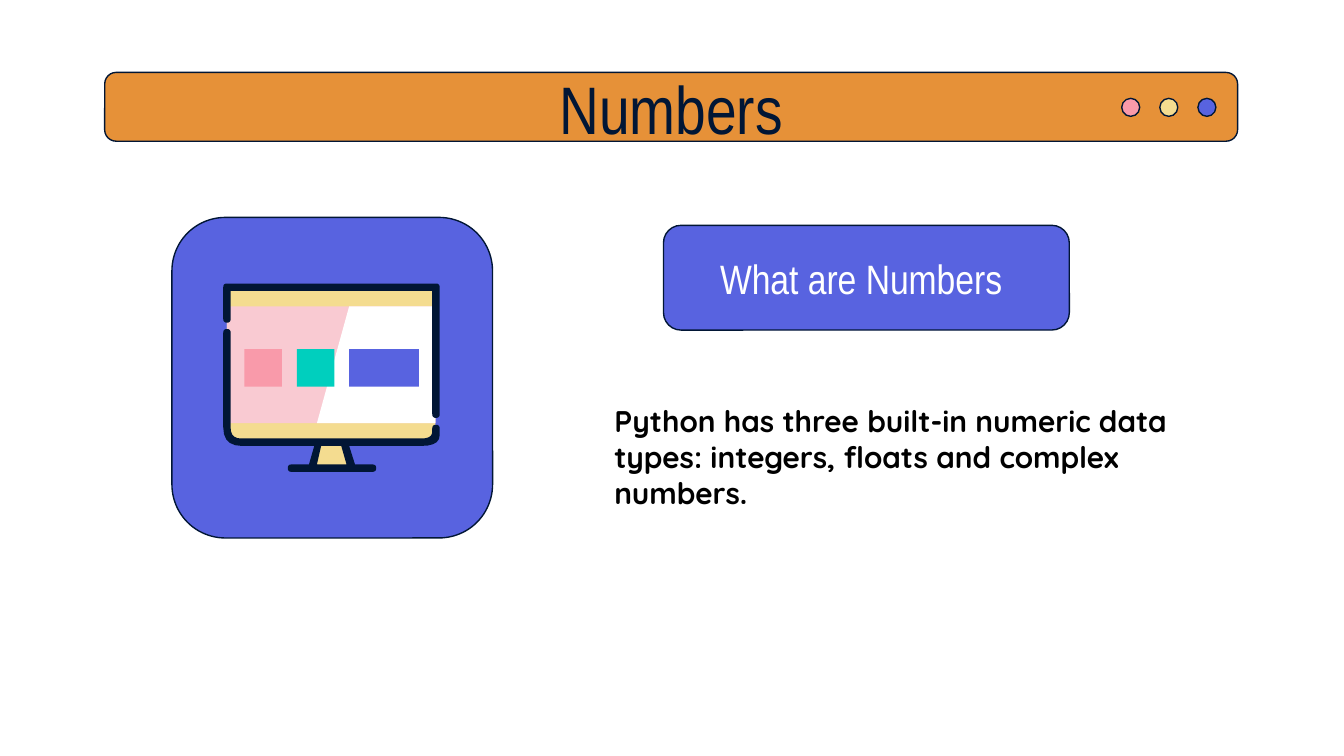
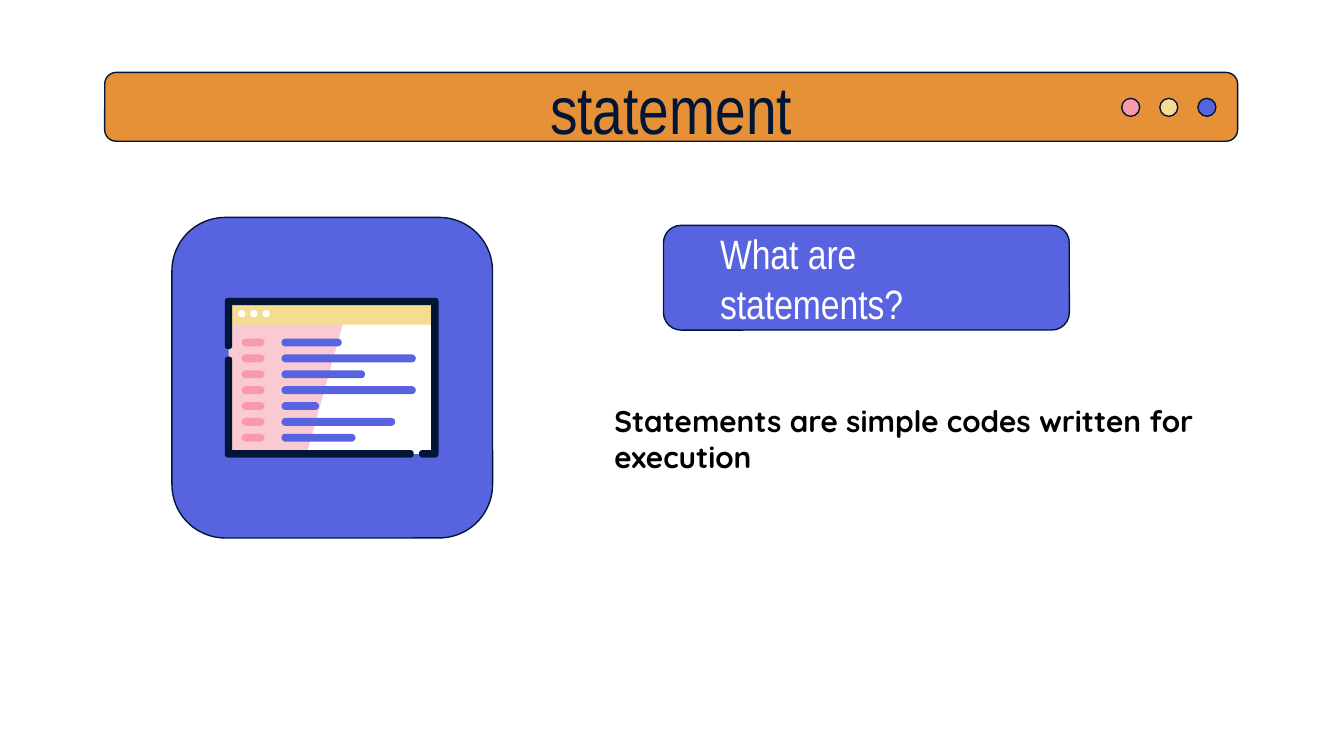
from math import hypot

from pptx import Presentation
from pptx.dml.color import RGBColor
from pptx.enum.shapes import MSO_SHAPE as SHAPE
from pptx.enum.text import MSO_ANCHOR as ANCHOR, MSO_AUTO_SIZE as AUTO_SIZE, PP_ALIGN as ALIGN
from pptx.util import Cm, Pt

NAVY = RGBColor(0x01, 0x16, 0x35)
ORANGE = RGBColor(0xE6, 0x91, 0x38)
BLUE = RGBColor(0x58, 0x63, 0xE0)
YELLOW = RGBColor(0xF4, 0xDC, 0x90)
PINK = RGBColor(0xF9, 0x9A, 0xAA)
PALE_PINK = RGBColor(0xF9, 0xCA, 0xD2)
TEAL = RGBColor(0x00, 0xCF, 0xBE)
WHITE = RGBColor(0xFF, 0xFF, 0xFF)
BLACK = RGBColor(0x00, 0x00, 0x00)

HEAD_FONT, BODY_FONT = "Arial Narrow", "Quicksand"
TIP = 0.07  # radius of the rounded ends of icon frames, cm
TITLE_ONLY = 5


def rounded(vertices):
    """Turn (x, y[, radius]) corners into outline points."""
    points = []
    for i, (x, y, *radius) in enumerate(vertices):
        if not radius:
            points.append((x, y))
            continue
        ends = []
        for nx, ny, *_ in (vertices[i - 1], vertices[(i + 1) % len(vertices)]):
            length = hypot(nx - x, ny - y)
            k = min(radius[0] / length, 0.5)
            ends.append((x + k * (nx - x), y + k * (ny - y)))
        (ax, ay), (bx, by) = ends
        for t in (0, 0.2, 0.4, 0.6, 0.8, 1):
            a, c, b = (1 - t) ** 2, 2 * t * (1 - t), t * t
            points.append((a * ax + c * x + b * bx, a * ay + c * y + b * by))
    return [(Cm(x), Cm(y)) for x, y in points]


class Deck:
    def __init__(self):
        self.prs = Presentation()
        self.prs.slide_width, self.prs.slide_height = Cm(25.4), Cm(14.29)
        self.s = self.shapes = None

    def slide(self):
        self.s = self.prs.slides.add_slide(self.prs.slide_layouts[TITLE_ONLY])
        self.shapes = self.s.shapes

    def group(self):
        """Send the shapes that follow into a new group."""
        grp = self.s.shapes.add_group_shape()
        self.shapes = grp.shapes
        return grp

    def ungroup(self):
        self.shapes = self.s.shapes

    def paint(self, sp, fill, outlined):
        sp.shadow.inherit = False
        sp.fill.solid()
        sp.fill.fore_color.rgb = fill
        if outlined:
            sp.line.color.rgb = NAVY
            sp.line.width = Pt(0.75)
        else:
            sp.line.fill.background()

    def shape(self, kind, x, y, w, h, fill, outlined=False):
        sp = self.shapes.add_shape(kind, Cm(x), Cm(y), Cm(w), Cm(h))
        self.paint(sp, fill, outlined)
        return sp

    def pill(self, x, y, w, h, fill):
        self.shape(SHAPE.ROUNDED_RECTANGLE, x, y, w, h, fill).adjustments[0] = 0.5

    def outline(self, fill, *contours):
        """Fill one free form; contours after the first are holes."""
        first, *holes = [rounded(c) for c in contours]
        fb = self.shapes.build_freeform(*first[0])
        fb.add_line_segments(first[1:])
        for hole in holes:
            fb.move_to(*hole[0])
            fb.add_line_segments(hole[1:])
        self.paint(fb.convert_to_shape(), fill, False)

    def set_text(self, sp, text, font, size, color, bold=False, anchor=ANCHOR.MIDDLE,
                 align=ALIGN.LEFT, left=0, top=0):
        tf = sp.text_frame
        tf.word_wrap = True
        tf.auto_size = AUTO_SIZE.NONE
        tf.vertical_anchor = anchor
        tf.margin_left, tf.margin_top = Cm(left), Cm(top)
        tf.margin_right = tf.margin_bottom = 0
        p = tf.paragraphs[0]
        p.alignment = align
        r = p.add_run()
        r.text = text
        r.font.name, r.font.size, r.font.bold = font, Pt(size), bold
        r.font.color.rgb = color

    def text_box(self, x, y, w, h, text, *style, **options):
        sp = self.shapes.add_textbox(Cm(x), Cm(y), Cm(w), Cm(h))
        self.set_text(sp, text, *style, **options)

    def title_bar(self, text):
        self.shape(SHAPE.ROUNDED_RECTANGLE, 1.98, 1.37, 21.41, 1.3, ORANGE, True)
        dots = self.group()
        for i, color in enumerate((PINK, YELLOW, BLUE)):
            self.shape(SHAPE.OVAL, 21.2 + 0.72 * i, 1.86, 0.34, 0.34, color, True)
        self.ungroup()
        title = self.s.shapes.title
        title.left, title.top, title.width, title.height = Cm(3.78), Cm(1.24), Cm(17.81), Cm(1.6)
        self.set_text(title, text, HEAD_FONT, 36, NAVY, align=ALIGN.CENTER)
        dots.element.addnext(title.element)  # bring the title in front of the bar

    def topic(self, title, question, answer, draw_icon):
        self.slide()
        self.title_bar(title)
        self.shape(SHAPE.ROUNDED_RECTANGLE, 12.54, 4.26, 7.67, 1.98, BLUE, True)
        self.text_box(13.41, 4.67, 6.05, 1.17, question, HEAD_FONT, 22, WHITE, left=0.2)
        self.text_box(9.07, 5.69, 14.58, 5.18, answer, BODY_FONT, 16, BLACK, bold=True,
                      anchor=ANCHOR.TOP, left=2.54, top=1.93)
        self.shape(SHAPE.ROUNDED_RECTANGLE, 3.25, 4.11, 6.06, 6.06, BLUE, True)
        self.group()
        draw_icon(self)
        self.ungroup()


def monitor_icon(deck):
    stand = [(6.02, 8.36), (5.9, 8.86), (6.63, 8.86), (6.53, 8.36)]
    case = [(4.29, 5.44, 0.25), (8.23, 5.44, 0.25), (8.23, 8.36, 0.25), (4.29, 8.36, 0.25)]
    glare = [(6.6, 5.79), (5.99, 8), (8.23, 8), (8.23, 5.79)]
    upper_frame = [(4.22, 5.36, TIP), (8.31, 5.36, TIP), (8.31, 7.9, TIP), (8.17, 7.9, TIP),
                   (8.17, 5.5), (4.36, 5.5), (4.36, 6.1, TIP), (4.22, 6.1, TIP)]
    lower_frame = [(4.22, 6.22, TIP), (4.36, 6.22, TIP), (4.36, 8.29, 0.2), (8.17, 8.29, 0.2),
                   (8.17, 8.03, TIP), (8.31, 8.03, TIP), (8.31, 8.43, 0.35), (6.6, 8.43),
                   (6.71, 8.78), (7.11, 8.78, TIP), (7.11, 8.92, TIP), (5.44, 8.92, TIP),
                   (5.44, 8.78, TIP), (5.84, 8.78), (5.94, 8.43), (4.22, 8.43, 0.35)]
    stand_hole = [(6.45, 8.43), (6.55, 8.78), (5.99, 8.78), (6.07, 8.43)]

    deck.outline(YELLOW, stand)
    deck.outline(YELLOW, case)
    deck.shape(SHAPE.RECTANGLE, 4.29, 5.79, 3.94, 2.21, PALE_PINK)
    deck.outline(WHITE, glare)
    for i, (w, color) in enumerate(((0.71, PINK), (0.71, TEAL), (1.32, BLUE))):
        deck.shape(SHAPE.RECTANGLE, 4.62 + 0.99 * i, 6.6, w, 0.71, color)
    deck.outline(NAVY, upper_frame)
    deck.outline(NAVY, lower_frame, stand_hole)


def code_window_icon(deck):
    glare = [(6.6, 5.7), (5.8, 8.58), (8.22, 8.58), (8.22, 5.7)]
    right_frame = [(4.25, 5.63, TIP), (8.29, 5.63, TIP), (8.29, 8.65, TIP), (7.92, 8.65, TIP),
                   (7.92, 8.51, TIP), (8.15, 8.51), (8.15, 5.77), (4.39, 5.77),
                   (4.39, 6.6, TIP), (4.25, 6.6, TIP)]
    left_frame = [(4.25, 6.74, TIP), (4.39, 6.74, TIP), (4.39, 8.51), (7.82, 8.51, TIP),
                  (7.82, 8.65, TIP), (4.25, 8.65, TIP)]
    code_widths = (1.14, 2.54, 1.58, 2.54, 0.71, 2.15, 1.4)

    deck.shape(SHAPE.RECTANGLE, 4.32, 5.7, 3.9, 2.88, PALE_PINK)
    deck.outline(WHITE, glare)
    deck.shape(SHAPE.RECTANGLE, 4.32, 5.7, 3.9, 0.44, YELLOW)
    deck.outline(NAVY, right_frame)
    deck.outline(NAVY, left_frame)
    for i, w in enumerate(code_widths):
        y = 6.4 + 0.3 * i
        deck.pill(4.57, y, 0.43, 0.15, PINK)
        deck.pill(5.32, y, w, 0.15, BLUE)
    for i in range(3):
        deck.shape(SHAPE.OVAL, 4.5 + 0.23 * i, 5.86, 0.14, 0.14, WHITE)


def main():
    deck = Deck()
    deck.topic("Numbers", "What are Numbers",
               "Python has three built-in numeric data types: integers, floats and complex numbers.",
               monitor_icon)
    deck.topic("statement", "What are statements?",
               "Statements are simple codes written for execution", code_window_icon)
    deck.prs.save("out.pptx")


if __name__ == "__main__":
    main()
